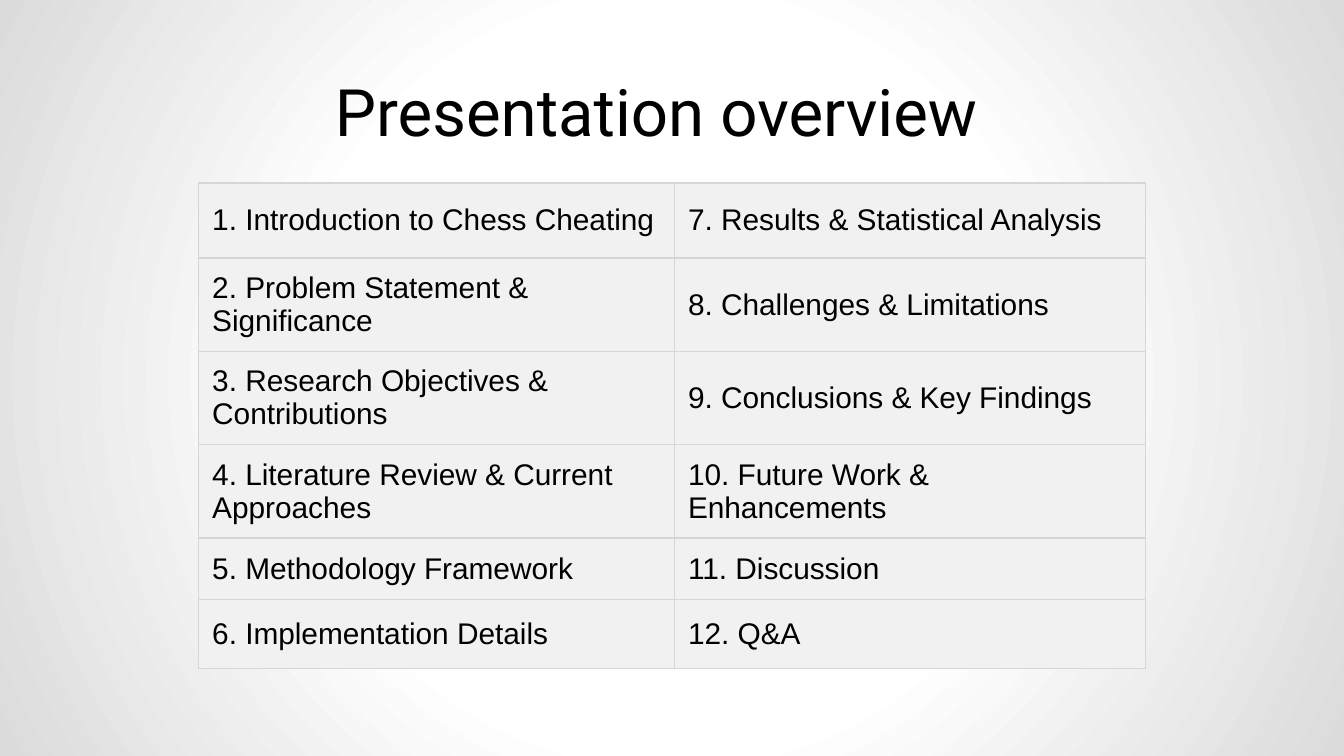
import pptx
import pptx.dml.color
import pptx.enum.text
import pptx.oxml
import pptx.oxml.ns
import pptx.util

Pt = pptx.util.Pt
qn = pptx.oxml.ns.qn
NS = pptx.oxml.ns.nsdecls("a")

TOPICS = [
    "Introduction to Chess Cheating",
    "Problem Statement & Significance",
    "Research Objectives & Contributions",
    "Literature Review & Current Approaches",
    "Methodology Framework",
    "Implementation Details",
    "Results & Statistical Analysis",
    "Challenges & Limitations",
    "Conclusions & Key Findings",
    "Future Work & Enhancements",
    "Discussion",
    "Q&A",
]
COLUMN_WIDTHS = [254.9, 252.4]
ROW_HEIGHTS = [40.3, 40.3, 35.3, 37.4, 33.1, 36.7]
INSET = Pt(7.2)
MARGINS = {f"margin_{side}": INSET for side in ("left", "top", "right", "bottom")}


def rgb(color):
    return pptx.dml.color.RGBColor.from_string(color)


def apply(obj, values):
    for name, value in values.items():
        setattr(obj, name, value)


def set_font(p, font, size, color):
    apply(p.font, {"name": font, "size": Pt(size)})
    p.font.color.rgb = rgb(color)


def add_background(s, stops):
    s.background.fill.solid()
    bg = s._element.find(".//" + qn("p:bgPr"))
    gs = "".join(
        f'<a:gs pos="{pos * 1000}"><a:srgbClr val="{color}"/></a:gs>'
        for pos, color in stops
    )
    gradient = pptx.oxml.parse_xml(
        f'<a:gradFill {NS}><a:gsLst>{gs}</a:gsLst><a:path path="circle">'
        '<a:fillToRect l="50000" t="50000" r="50000" b="50000"/></a:path></a:gradFill>'
    )
    bg.replace(bg.find(qn("a:solidFill")), gradient)


def add_title(s, text, box):
    sp = s.shapes.title
    apply(sp, dict(zip(("left", "top", "width", "height"), map(Pt, box))))
    tf = sp.text_frame
    apply(tf, {
        **MARGINS,
        "word_wrap": True,
        "auto_size": pptx.enum.text.MSO_AUTO_SIZE.NONE,
        "vertical_anchor": pptx.enum.text.MSO_ANCHOR.TOP,
    })
    p = tf.paragraphs[0]
    p.text = text
    p.alignment = pptx.enum.text.PP_ALIGN.CENTER
    set_font(p, "Roboto", 35, "000000")


def set_borders(cell, color, width):
    tcPr = cell._tc.get_or_add_tcPr()
    for i, side in enumerate("LRTB"):
        tcPr.insert(i, pptx.oxml.parse_xml(
            f'<a:ln{side} {NS} w="{Pt(width)}"><a:solidFill>'
            f'<a:srgbClr val="{color}"/></a:solidFill></a:ln{side}>'
        ))


def add_overview(s, topics, box):
    rows, cols = len(ROW_HEIGHTS), len(COLUMN_WIDTHS)
    table = s.shapes.add_table(rows, cols, *map(Pt, box)).table
    apply(table, {"first_row": False, "horz_banding": False})
    for column, width in zip(table.columns, COLUMN_WIDTHS):
        column.width = Pt(width)
    for row, height in zip(table.rows, ROW_HEIGHTS):
        row.height = Pt(height)
    for i, topic in enumerate(topics):
        cell = table.cell(i % rows, i // rows)
        apply(cell, {**MARGINS, "vertical_anchor": pptx.enum.text.MSO_ANCHOR.MIDDLE})
        cell.fill.solid()
        cell.fill.fore_color.rgb = rgb("F1F1F1")
        set_borders(cell, "D6D6D6", 0.75)
        p = cell.text_frame.paragraphs[0]
        p.text = f"{i + 1}. {topic}"
        set_font(p, "Arial", 16, "000000")


def main():
    prs = pptx.Presentation()
    apply(prs, {"slide_width": Pt(720), "slide_height": Pt(405)})
    s = prs.slides.add_slide(prs.slide_layouts[5])
    add_background(s, [(0, "FFFFFF"), (48, "FFFFFF"), (100, "DBDBDB")])
    add_title(s, "Presentation overview", (48.2, 31, 607, 45.4))
    add_overview(s, TOPICS, (106.5, 98, sum(COLUMN_WIDTHS), sum(ROW_HEIGHTS)))
    prs.save("out.pptx")


if __name__ == "__main__":
    main()
